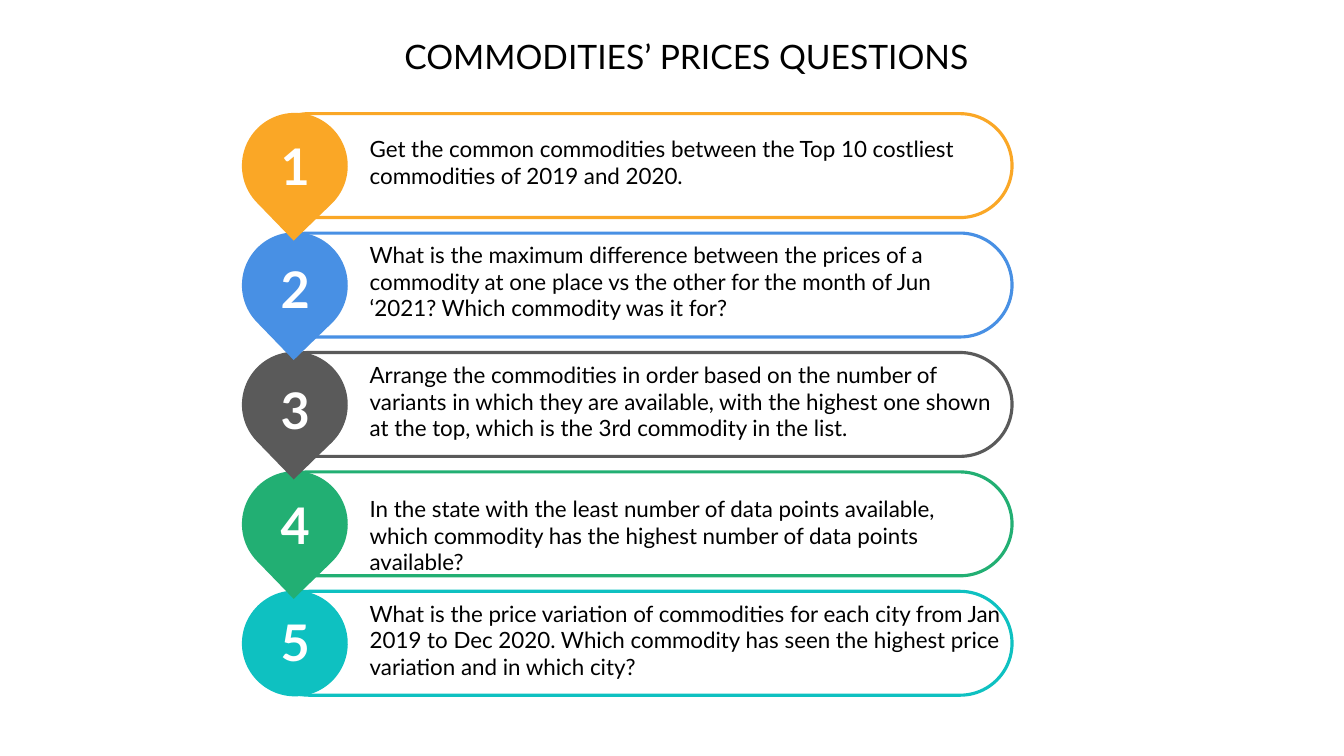
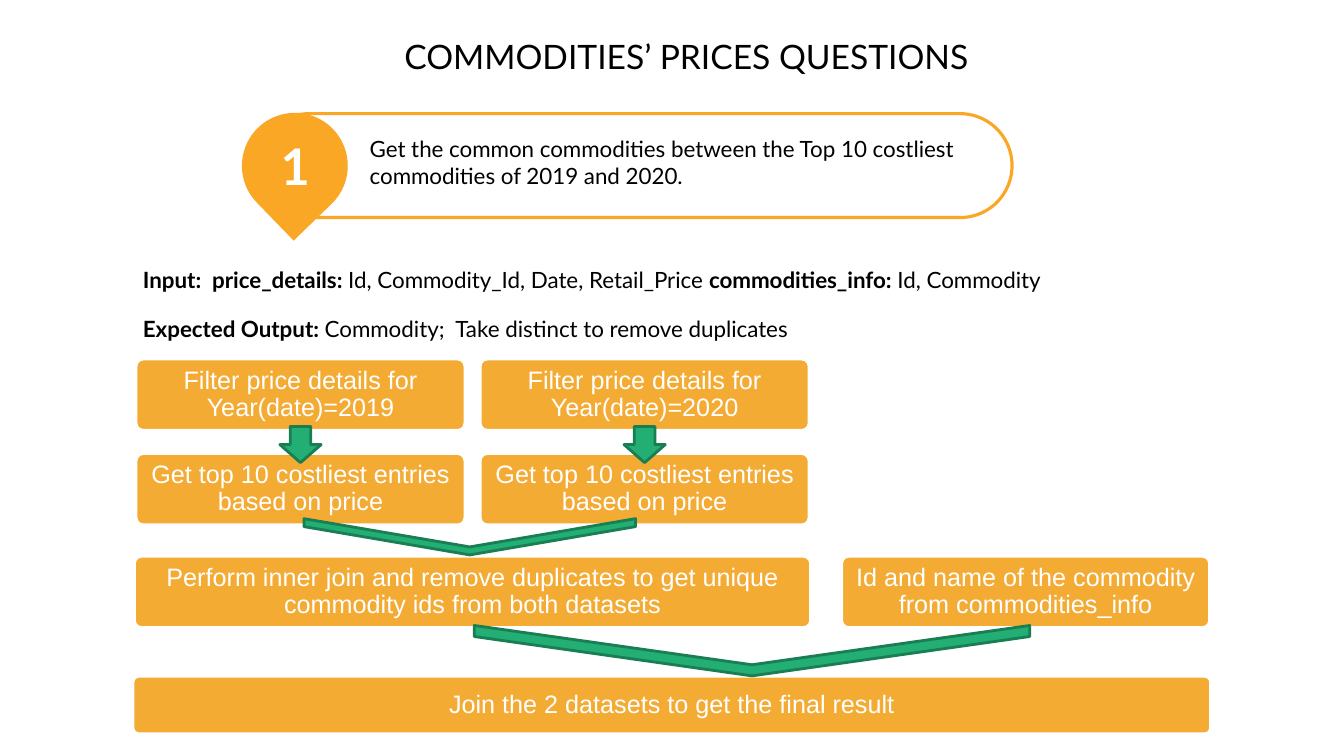
from dataclasses import dataclass
from typing import NamedTuple

from pptx import Presentation
from pptx.dml.color import RGBColor
from pptx.enum.shapes import MSO_SHAPE
from pptx.enum.text import MSO_ANCHOR, PP_ALIGN
from pptx.util import Pt


@dataclass(frozen=True)
class Theme:
    white: str = "FFFFFF"
    ink: str = "000000"
    orange: str = "FAA726"
    blue: str = "4890E4"
    grey: str = "5A5A5A"
    green: str = "22AF73"
    teal: str = "0EC1C1"
    step: str = "F4AB34"
    arrow: str = "23AE73"
    arrow_edge: str = "197E53"
    heading_font: str = "Lato"
    step_font: str = "Arial"
    title_size: int = 24
    body_size: int = 16
    step_size: int = 18
    number_size: int = 36


THEME = Theme()


class Box(NamedTuple):
    left: float
    top: float
    width: float
    height: float


class Run(NamedTuple):
    text: str
    bold: bool = False


@dataclass(frozen=True)
class Question:
    text: str
    color: str
    text_offset: float  # below the top of the pill
    text_width: float
    number_offset: float  # below the top of the pill
    pin: MSO_SHAPE = MSO_SHAPE.TEAR


@dataclass(frozen=True)
class Step:
    text: str
    box: Box


TITLE = "COMMODITIES’ PRICES QUESTIONS"
FIRST_PILL = Box(183.6, 81.2, 539.3, 74.2)
PILL_PITCH = 85.3
PIN_LEFT, PIN_SIZE, PIN_TURN = 172.8, 75.6, 135.9

QUESTIONS = [
    Question("Get the common commodities between the Top 10 costliest "
             "commodities of 2019 and 2020.", THEME.orange, 11.7, 451.4, 11),
    Question("What is the maximum difference between the prices of a commodity "
             "at one place vs the other for the month of Jun ‘2021? Which "
             "commodity was it for?", THEME.blue, 2, 454.3, 14.2),
    Question("Arrange the commodities in order based on the number of variants "
             "in which they are available, with the highest one shown at the "
             "top, which is the 3rd commodity in the list.",
             THEME.grey, 2.4, 460.8, 15.3),
    Question("In the state with the least number of data points available, "
             "which commodity has the highest number of data points available?",
             THEME.green, 12.8, 460.8, 12.1),
    Question("What is the price variation of commodities for each city from "
             "Jan 2019 to Dec 2020. Which commodity has seen the highest price "
             "variation and in which city?",
             THEME.teal, 2.4, 467.3, 10.3, MSO_SHAPE.OVAL),
]

INPUT_OUTPUT = [
    [Run("Input:  price_details: ", True),
     Run("Id, Commodity_Id, Date, Retail_Price "),
     Run("commodities_info: ", True), Run("Id, Commodity")],
    [Run("Expected Output: ", True),
     Run("Commodity;  Take distinct to remove duplicates")],
]

# Flow geometry
YEAR_LEFTS = {2019: 97.2, 2020: 343}
YEAR_WIDTH, STEP_HEIGHT = 234.9, 50.9
FILTER_TOP, TOP_TEN_TOP, JOIN_TOP, RESULT_TOP = 256.5, 324, 397.4, 483.1
ARROW_TOP, ARROW_WIDTH, ARROW_HEIGHT = 304.6, 29.5, 25.9
MERGES = [Box(217.1, 370.5, 236.9, 25.9), Box(338.8, 446.8, 396.7, 36)]


def write(shape, paragraphs: str | list[list[Run]], *, size: float,
          font: str = THEME.heading_font, color: str = THEME.ink,
          bold: bool = False, align: PP_ALIGN = PP_ALIGN.LEFT,
          anchor: MSO_ANCHOR = MSO_ANCHOR.TOP, line_spacing: float = 1,
          before: float = 0, after: float = 0, between: float = 0) -> None:
    """Fill a shape with text; between is extra space from the second paragraph."""
    if isinstance(paragraphs, str):
        paragraphs = [[Run(paragraphs, bold)]]
    frame = shape.text_frame
    frame.word_wrap = True
    frame.vertical_anchor = anchor
    for index, runs in enumerate(paragraphs):
        paragraph = frame.add_paragraph() if index else frame.paragraphs[0]
        paragraph.alignment = align
        paragraph.line_spacing = line_spacing
        paragraph.space_before = Pt(before + (between if index else 0))
        paragraph.space_after = Pt(after)
        for text, is_bold in runs:
            run = paragraph.add_run()
            run.text = text
            run.font.name = font
            run.font.size = Pt(size)
            run.font.bold = is_bold
            run.font.color.rgb = RGBColor.from_string(color)


def add_text(slide, box: Box, paragraphs: str | list[list[Run]], **text_format) -> None:
    write(slide.shapes.add_textbox(*map(Pt, box)), paragraphs, **text_format)


def add_figure(slide, preset: MSO_SHAPE, box: Box, fill: str,
               edge: str | None = None, edge_width: float = 2,
               adjust: tuple[float, ...] = (), turn: float = 0):
    figure = slide.shapes.add_shape(preset, *map(Pt, box))
    figure.shadow.inherit = False
    figure.rotation = turn
    for index, value in enumerate(adjust):
        figure.adjustments[index] = value
    figure.fill.solid()
    figure.fill.fore_color.rgb = RGBColor.from_string(fill)
    if edge:
        figure.line.color.rgb = RGBColor.from_string(edge)
        figure.line.width = Pt(edge_width)
    else:
        figure.line.fill.background()
    return figure


def add_titled_slide(deck):
    slide = deck.slides.add_slide(deck.slide_layouts[6])
    add_text(slide, Box(162.7, 22.3, 655.2, 41), TITLE,
             size=THEME.title_size, align=PP_ALIGN.CENTER)
    return slide


def add_question(slide, index: int) -> None:
    question = QUESTIONS[index]
    top = FIRST_PILL.top + index * PILL_PITCH
    add_figure(slide, MSO_SHAPE.ROUNDED_RECTANGLE, FIRST_PILL._replace(top=top),
               THEME.white, question.color, 2.25, adjust=(0.5,))
    add_figure(slide, question.pin, Box(PIN_LEFT, top - 0.6, PIN_SIZE, PIN_SIZE),
               question.color, turn=PIN_TURN)
    add_text(slide, Box(257, top + question.text_offset, question.text_width, 69),
             question.text, size=THEME.body_size, before=2, after=2)
    add_text(slide, Box(PIN_LEFT, top + question.number_offset, 76.3, 51.1),
             str(index + 1), size=THEME.number_size, color=THEME.white, bold=True,
             align=PP_ALIGN.CENTER, anchor=MSO_ANCHOR.MIDDLE)


def add_step(slide, step: Step) -> None:
    panel = add_figure(slide, MSO_SHAPE.ROUNDED_RECTANGLE, step.box, THEME.step,
                       THEME.white, adjust=(0.1,))
    write(panel, step.text, size=THEME.step_size, font=THEME.step_font,
          color=THEME.white, align=PP_ALIGN.CENTER, anchor=MSO_ANCHOR.MIDDLE,
          line_spacing=0.9)


def add_merge(slide, area: Box) -> None:
    """Draw a chevron pointing down inside the visible area."""
    left = area.left + (area.width - area.height) / 2
    top = area.top - (area.width - area.height) / 2
    add_figure(slide, MSO_SHAPE.CHEVRON, Box(left, top, area.height, area.width),
               THEME.arrow, THEME.arrow_edge, adjust=(0.78,), turn=90)


def build_questions(deck) -> None:
    slide = add_titled_slide(deck)
    # Bottom row first, so each pin tip lies over the row below it
    for index in reversed(range(len(QUESTIONS))):
        add_question(slide, index)


def build_first_answer(deck) -> None:
    slide = add_titled_slide(deck)
    add_question(slide, 0)
    add_text(slide, Box(95, 177.1, 769.7, 67.7), INPUT_OUTPUT,
             size=THEME.body_size, line_spacing=1.5, between=6)

    # Steps of the flow
    steps = [
        Step("Perform inner join and remove duplicates to get unique "
             "commodity ids from both datasets",
             Box(96, JOIN_TOP, 483, STEP_HEIGHT)),
        Step("Id and name of the commodity from commodities_info",
             Box(601.2, JOIN_TOP, 262.8, STEP_HEIGHT)),
        Step("Join the 2 datasets to get the final result",
             Box(95, RESULT_TOP, 769.7, 41)),
    ]
    for year, left in YEAR_LEFTS.items():
        steps += [
            Step(f"Filter price details for Year(date)={year}",
                 Box(left, FILTER_TOP, YEAR_WIDTH, STEP_HEIGHT)),
            Step("Get top 10 costliest entries based on price",
                 Box(left, TOP_TEN_TOP, YEAR_WIDTH, STEP_HEIGHT)),
        ]
    for step in steps:
        add_step(slide, step)

    # Arrows between the steps
    for left in YEAR_LEFTS.values():
        arrow_left = left + (YEAR_WIDTH - ARROW_WIDTH) / 2
        add_figure(slide, MSO_SHAPE.DOWN_ARROW,
                   Box(arrow_left, ARROW_TOP, ARROW_WIDTH, ARROW_HEIGHT),
                   THEME.arrow, THEME.arrow_edge, adjust=(0.5, 0.5))
    for area in MERGES:
        add_merge(slide, area)


def main() -> None:
    deck = Presentation()
    deck.slide_width, deck.slide_height = Pt(960), Pt(540)
    build_questions(deck)
    build_first_answer(deck)
    deck.save("out.pptx")


if __name__ == "__main__":
    main()
